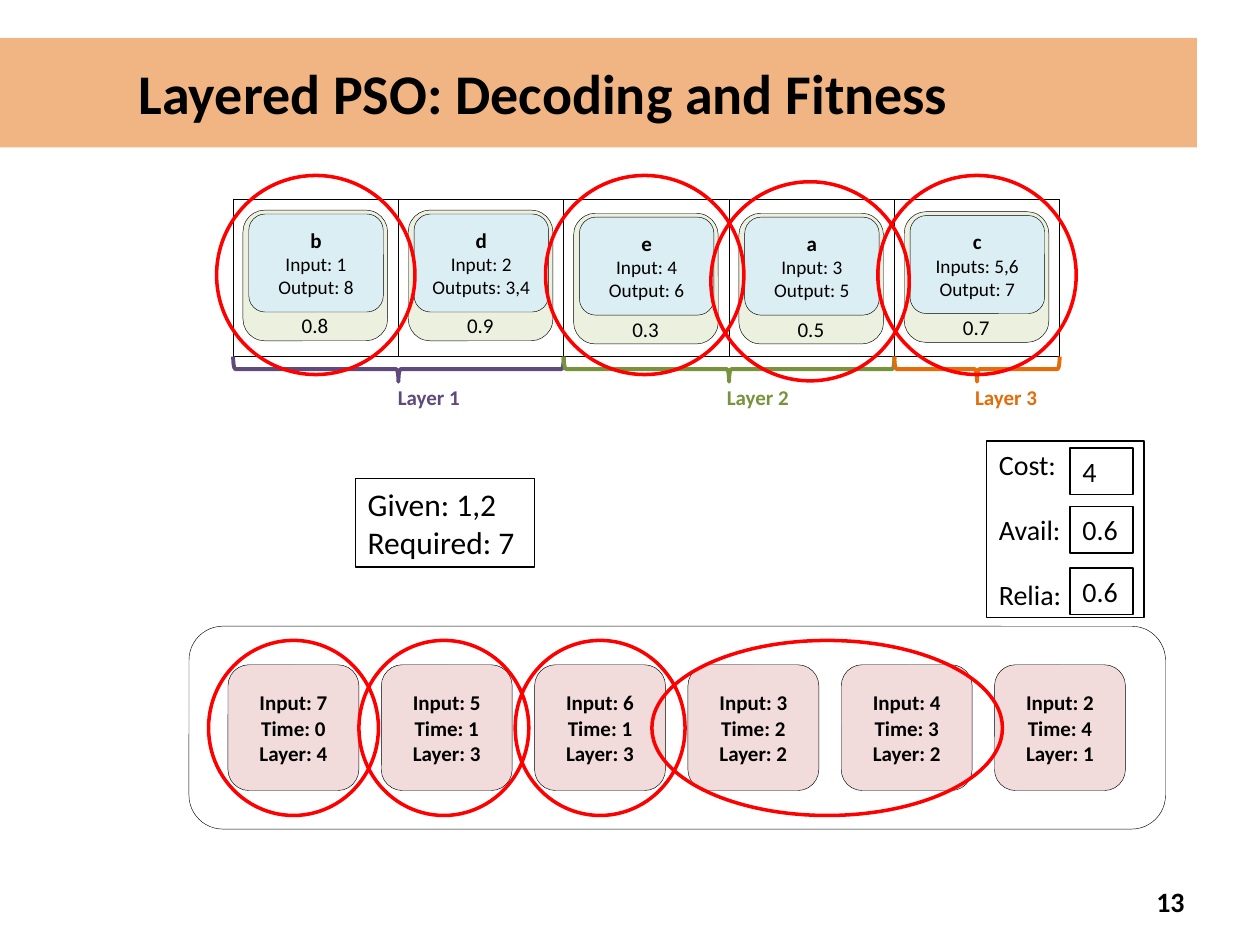
from lxml.etree import SubElement
from pptx import Presentation
from pptx.dml.color import RGBColor
from pptx.enum.shapes import MSO_SHAPE as Shape
from pptx.enum.text import MSO_ANCHOR as Anchor, PP_ALIGN as Align
from pptx.oxml.ns import qn
from pptx.util import Inches, Pt

BLACK, WHITE, RED = "000000", "FFFFFF", "FF0000"
COLS, STRIP = 5, (1.85, 1.58, 6.56, 1.25)
PARTICLES = [
    ("b", "Input: 1", "Output: 8", "0.8", 0.07, (-0.1, -0.15)),
    ("d", "Input: 2", "Outputs: 3,4", "0.9", 0.07, None),
    ("e", "Input: 4", "Output: 6", "0.3", 0.09, (-0.11, -0.15)),
    ("a", "Input: 3", "Output: 5", "0.5", 0.09, (-0.11, -0.11)),
    ("c", "Inputs: 5,6", "Output: 7", "0.7", 0.08, (-0.1, -0.15)),
]
LAYERS = [
    ("Layer 1", 0, 2, "604A7B", 3.06),
    ("Layer 2", 2, 2, "77933C", 5.67),
    ("Layer 3", 4, 1, "E46C0A", 7.64),
]
TASKS = [(7, 0, 4), (5, 1, 3), (6, 1, 3), (3, 2, 2), (4, 3, 2), (2, 4, 1)]
TASK_RINGS = [(0.02, 0.174), (0.174, 0.174), (0.334, 0.174), (0.474, 0.359)]
SCORES = [("Cost:", "4", 0.04), ("Avail:", "0.6", 0.37), ("Relia:", "0.6", 0.72)]


def rgb(color):
    return RGBColor.from_string(color)


def part(box, x, y, w, h):
    left, top, width, height = box
    return left + x * width, top + y * height, w * width, h * height


def cell(box, i, span=1):
    return part(box, i / COLS, 0, span / COLS, 1)


def write(sp, lines, size, color=BLACK, bold=False, align=Align.LEFT,
          anchor=Anchor.TOP, wrap=True, after=0):
    tf = sp.text_frame
    frame = dict(word_wrap=wrap, vertical_anchor=anchor, margin_left=Inches(0.1),
                 margin_right=Inches(0.1), margin_top=Inches(0.05),
                 margin_bottom=Inches(0.05))
    for key, value in frame.items():
        setattr(tf, key, value)
    for i, line in enumerate(lines):
        p = tf.add_paragraph() if i else tf.paragraphs[0]
        p.alignment, p.space_after = align, Pt(after)
        r = p.add_run()
        r.text = line
        for key, value in dict(name="Calibri", size=Pt(size), bold=bold).items():
            setattr(r.font, key, value)
        r.font.color.rgb = rgb(color)


def shape(s, kind, box, fill=None, line=None, width=0.25):
    sp = s.shapes.add_shape(kind, *map(Inches, box))
    sp.shadow.inherit = False
    if fill:
        sp.fill.solid()
        sp.fill.fore_color.rgb = rgb(fill)
    else:
        sp.fill.background()
    if line:
        sp.line.color.rgb = rgb(line)
        sp.line.width = Pt(width)
    else:
        sp.line.fill.background()
    return sp


def label(s, box, text, size, **style):
    write(s.shapes.add_textbox(*map(Inches, box)), [text], size, **style)


def ring(s, box):
    shape(s, Shape.OVAL, box, line=RED, width=2)


def title_band(s, box):
    sp = shape(s, Shape.RECTANGLE, box, fill="E46C0A")
    color = sp.fill._xPr.find(qn("a:solidFill"))[0]
    SubElement(color, qn("a:alpha"), val="50000")
    write(sp, ["Layered PSO: Decoding and Fitness"], 32, bold=True, anchor=Anchor.MIDDLE)
    sp.text_frame.margin_left = Inches(1.1)


def particle_card(s, box, name, source, target, value):
    shape(s, Shape.ROUNDED_RECTANGLE, box, "EBF1DE", BLACK)
    sp = shape(s, Shape.ROUNDED_RECTANGLE, part(box, 0.04, 0.03, 0.93, 0.75), "DBEEF4", BLACK)
    write(sp, [name, source, target], 11, align=Align.CENTER, anchor=Anchor.MIDDLE)
    font = sp.text_frame.paragraphs[0].runs[0].font
    font.size, font.bold = Pt(12), True
    label(s, part(box, 0.32, 0.74, 0.37, 0.29), value, 12, wrap=False)


def particle_strip(s, box):
    for i in range(COLS):
        shape(s, Shape.RECTANGLE, cell(box, i), WHITE, BLACK)
    for i, (*texts, y, _) in enumerate(PARTICLES):
        particle_card(s, part(cell(box, i), 0.06, y, 0.875, 0.83), *texts)


def particle_rings(s, box):
    for i, particle in enumerate(PARTICLES):
        if particle[-1]:
            ring(s, part(cell(box, i), *particle[-1], 1.2, 1.264))


def layer_braces(s, box):
    depth = 0.2
    for text, start, span, color, x in LAYERS:
        left, top, width, height = cell(box, start, span)
        frame = (left + (width - depth) / 2, top + height + (depth - width) / 2, depth, width)
        sp = shape(s, Shape.RIGHT_BRACE, frame, line=color, width=2.25)
        sp.rotation = 90
        label(s, (x, 3, 0.84, 0.3), text, 12, color=color, bold=True, wrap=False)


def given_box(s, box):
    sp = shape(s, Shape.RECTANGLE, box, WHITE, BLACK, 0.75)
    write(sp, ["Given: 1,2", "Required: 7"], 18, wrap=False)


def score_box(s, box):
    sp = shape(s, Shape.RECTANGLE, box, WHITE, BLACK, 0.75)
    write(sp, [name for name, _, _ in SCORES], 16, after=18)
    for _, value, y in SCORES:
        sp = shape(s, Shape.RECTANGLE, part(box, 0.53, y, 0.4, 0.265), WHITE, BLACK, 0.75)
        write(sp, [value], 16, wrap=False)


def task_panel(s, box):
    shape(s, Shape.ROUNDED_RECTANGLE, box, WHITE, BLACK)
    for i, task in enumerate(TASKS):
        frame = part(box, 0.04 + i * 0.157, 0.19, 0.134, 0.62)
        sp = shape(s, Shape.ROUNDED_RECTANGLE, frame, "F2DCDB", BLACK)
        lines = [f"{key}: {n}" for key, n in zip(("Input", "Time", "Layer"), task)]
        write(sp, lines, 12, bold=True, align=Align.CENTER, anchor=Anchor.MIDDLE)
    for x, width in TASK_RINGS:
        ring(s, part(box, x, 0.07, width, 0.863))


def main():
    prs = Presentation()
    prs.slide_width, prs.slide_height = Inches(10), Inches(7.5)
    s = prs.slides.add_slide(prs.slide_layouts[6])
    title_band(s, (0, 0.3, 9.5, 0.87))
    particle_strip(s, STRIP)
    layer_braces(s, STRIP)
    particle_rings(s, STRIP)
    given_box(s, (2.82, 3.8, 1.42, 0.7))
    score_box(s, (7.83, 3.5, 1.25, 1.4))
    task_panel(s, (1.5, 4.97, 7.75, 1.61))
    label(s, (7.17, 6.95, 2.33, 0.4), "13", 16, bold=True, align=Align.RIGHT,
          anchor=Anchor.MIDDLE)
    prs.save("out.pptx")


if __name__ == "__main__":
    main()
